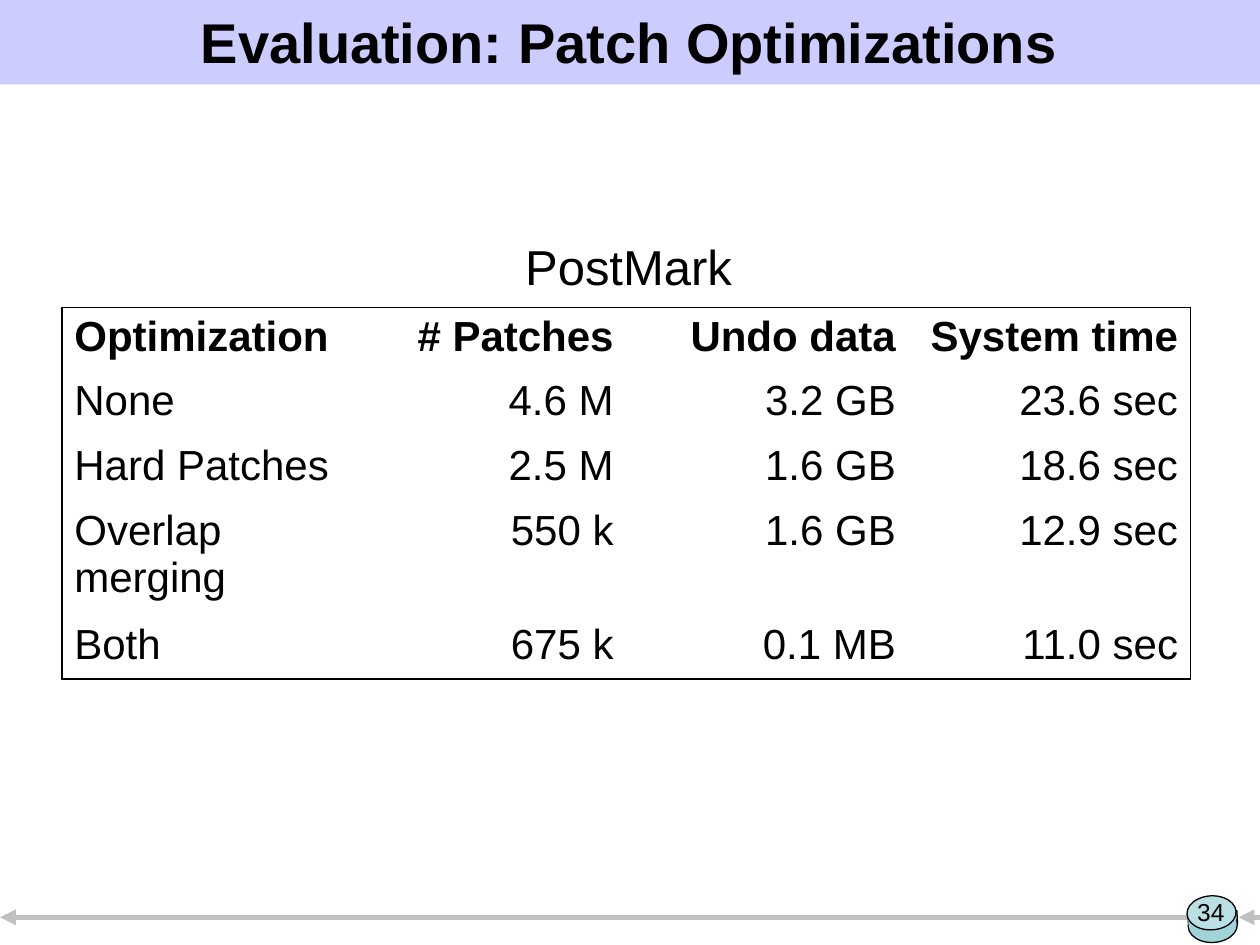
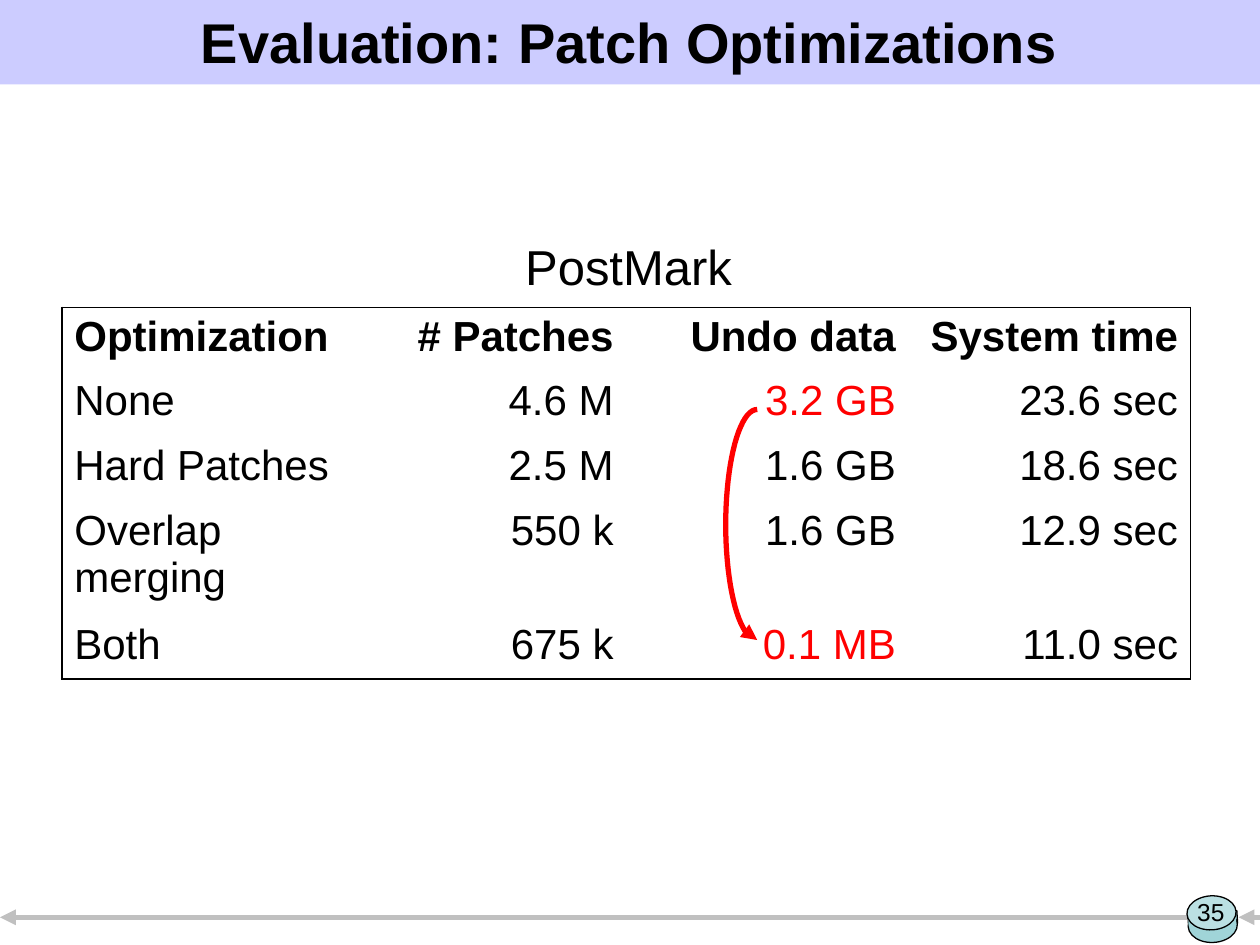
from dataclasses import dataclass
from math import cos, pi, sin

from lxml.etree import SubElement
from pptx import Presentation
from pptx.dml.color import RGBColor
from pptx.enum.shapes import MSO_CONNECTOR, MSO_SHAPE
from pptx.enum.text import MSO_ANCHOR, PP_ALIGN
from pptx.oxml.ns import qn
from pptx.util import Inches, Pt


@dataclass(frozen=True)
class Theme:
    font: str = "Arial"
    ink: str = "000000"
    accent: str = "FF0000"
    band: str = "CCCCFF"
    track: str = "C0C0C0"
    disc_side: str = "A0D4D8"
    disc_top: str = "BBE0E3"
    title_size: float = 32
    caption_size: float = 28
    table_size: float = 24
    number_size: float = 14
    heavy_line: float = 3
    thin_line: float = 0.75
    border_line: float = 1.08


@dataclass(frozen=True)
class Box:
    left: float
    top: float
    width: float
    height: float

    def inner(self, left, top, width, height):
        return Box(self.left + left, self.top + top, width, height)

    def lengths(self):
        return [Inches(size) for size in (self.left, self.top, self.width, self.height)]


THEME = Theme()
SLIDE = Box(0, 0, 10, 7.5)
HEADER = Box(0, 0, 10, 0.67)
FOOTER = Box(0, 7.07, 10, 0.43)
RESULTS = Box(0.49, 1.83, 8.96, 3.57)

TITLE = "Evaluation: Patch Optimizations"
BENCHMARK = "PostMark"
RESULT_ROWS = [
    ["Optimization", "# Patches", "Undo data", "System time"],
    ["None", "4.6 M", "3.2 GB", "23.6 sec"],
    ["Hard Patches", "2.5 M", "1.6 GB", "18.6 sec"],
    ["Overlap merging", "550 k", "1.6 GB", "12.9 sec"],
    ["Both", "675 k", "0.1 MB", "11.0 sec"],
]
ROW_HEIGHTS = [0.51, 0.51, 0.52, 0.9, 0.51]
COMPARED_CELLS = {(1, 2), (4, 2)}


def set_formats(target, formats):
    for name, value in formats.items():
        setattr(target, name, value)


def write_text(frame, text, size, color=THEME.ink, bold=False, align=PP_ALIGN.LEFT):
    para = frame.paragraphs[0]
    para.alignment = align
    span = para.add_run()
    span.text = text
    set_formats(span.font, {"name": THEME.font, "size": Pt(size), "bold": bold})
    span.font.color.rgb = RGBColor.from_string(color)


def add_text(page, box, text, size, wrap=True, anchor=MSO_ANCHOR.TOP, **formats):
    frame = page.shapes.add_textbox(*box.lengths()).text_frame
    set_formats(frame, {"word_wrap": wrap, "vertical_anchor": anchor})
    write_text(frame, text, size, **formats)


def set_line(line, color, width):
    line.color.rgb = RGBColor.from_string(color)
    line.width = Pt(width)


def add_arrowhead(shape):
    outline = shape._element.spPr.find(qn("a:ln"))
    SubElement(outline, qn("a:tailEnd"), type="triangle")


def add_solid(shapes, kind, box, fill, outlined=False, rotation=0):
    shape = shapes.add_shape(kind, *box.lengths())
    shape.rotation = rotation
    shape.shadow.inherit = False
    shape.fill.solid()
    shape.fill.fore_color.rgb = RGBColor.from_string(fill)
    if outlined:
        set_line(shape.line, THEME.ink, THEME.thin_line)
    else:
        shape.line.fill.background()


def add_track(page, start, end, height):
    track = page.shapes.add_connector(
        MSO_CONNECTOR.STRAIGHT, Inches(start), Inches(height), Inches(end), Inches(height))
    set_line(track.line, THEME.track, THEME.heavy_line)
    add_arrowhead(track)
    SubElement(track._element.spPr, qn("a:effectLst"))


def add_header(page, box):
    add_solid(page.shapes, MSO_SHAPE.RECTANGLE, box, THEME.band)
    add_text(page, box.inner(0.08, 0.04, 9.83, 0.58), TITLE, THEME.title_size,
             anchor=MSO_ANCHOR.MIDDLE, bold=True, align=PP_ALIGN.CENTER)


def add_disc(page, box):
    disc = page.shapes.add_group_shape()
    layers = [
        (MSO_SHAPE.RECTANGLE, (0.01, 0.13, 0.39, 0.1), THEME.disc_side, True, 356.4),
        (MSO_SHAPE.OVAL, (0.01, 0.1, 0.39, 0.27), THEME.disc_side, True, 356.9),
        (MSO_SHAPE.RECTANGLE, (0.01, 0.13, 0.38, 0.1), THEME.disc_side, False, 356.4),
        (MSO_SHAPE.OVAL, (0, 0, 0.39, 0.27), THEME.disc_top, True, 356.9),
    ]
    for kind, place, fill, outlined, rotation in layers:
        add_solid(disc.shapes, kind, box.inner(*place), fill, outlined, rotation)


def add_footer(page, box, number):
    height = box.top + 0.21
    add_track(page, box.left + 9.42, box.left, height)
    add_disc(page, box.inner(9.42, 0.04, 0.4, 0.37))
    add_track(page, box.left + box.width, box.left + 9.83, height)
    add_text(page, box.inner(9.37, 0, 0.48, 0.52), str(number), THEME.number_size,
             align=PP_ALIGN.CENTER)


def set_borders(cell, visible):
    properties = cell._tc.get_or_add_tcPr()
    for side, shown in visible.items():
        border = SubElement(properties, qn(f"a:ln{side}"), w=str(Pt(THEME.border_line)))
        if shown:
            fill = SubElement(border, qn("a:solidFill"))
            SubElement(fill, qn("a:srgbClr"), val=THEME.ink)
        else:
            SubElement(border, qn("a:noFill"))


def add_table(page, box, compared):
    last_row, last_column = len(RESULT_ROWS) - 1, len(RESULT_ROWS[0]) - 1
    table = page.shapes.add_table(last_row + 1, last_column + 1, *box.lengths()).table
    set_formats(table, {"first_row": False, "horz_banding": False})
    for column in table.columns:
        column.width = Inches(box.width / (last_column + 1))
    for row_index, (values, height) in enumerate(zip(RESULT_ROWS, ROW_HEIGHTS)):
        table.rows[row_index].height = Inches(height)
        for column_index, value in enumerate(values):
            cell = table.cell(row_index, column_index)
            set_borders(cell, {"L": column_index == 0, "R": column_index == last_column,
                               "T": row_index == 0, "B": row_index == last_row})
            cell.fill.background()
            marked = (row_index, column_index) in compared
            write_text(cell.text_frame, value, THEME.table_size,
                       color=THEME.accent if marked else THEME.ink,
                       bold=row_index == 0,
                       align=PP_ALIGN.RIGHT if column_index else PP_ALIGN.LEFT)


def add_comparison_arrow(page, box, steps=40):
    middle = box.top + box.height / 2
    points = []
    for step in range(steps + 1):
        angle = pi * step / steps
        points.append((Inches(box.left + box.width * (1 - sin(angle))),
                       Inches(middle - box.height / 2 * cos(angle))))
    builder = page.shapes.build_freeform(*points[0])
    builder.add_line_segments(points[1:], close=False)
    arrow = builder.convert_to_shape()
    arrow.shadow.inherit = False
    arrow.fill.background()
    set_line(arrow.line, THEME.accent, THEME.heavy_line)
    add_arrowhead(arrow)


def add_results(page, box, compared):
    add_table(page, box.inner(0, 0.61, box.width, sum(ROW_HEIGHTS)), compared)
    add_text(page, box.inner(3.58, 0, 1.84, 0.57), BENCHMARK, THEME.caption_size, wrap=False)
    if compared:
        add_comparison_arrow(page, box.inner(5.27, 1.42, 0.25, 1.83))


def add_results_page(deck, number, compared=frozenset()):
    page = deck.slides.add_slide(deck.slide_layouts[6])
    add_header(page, HEADER)
    add_results(page, RESULTS, compared)
    add_footer(page, FOOTER, number)


def main():
    deck = Presentation()
    set_formats(deck, {"slide_width": Inches(SLIDE.width), "slide_height": Inches(SLIDE.height)})
    add_results_page(deck, 34)
    add_results_page(deck, 35, COMPARED_CELLS)
    deck.save("out.pptx")


if __name__ == "__main__":
    main()
